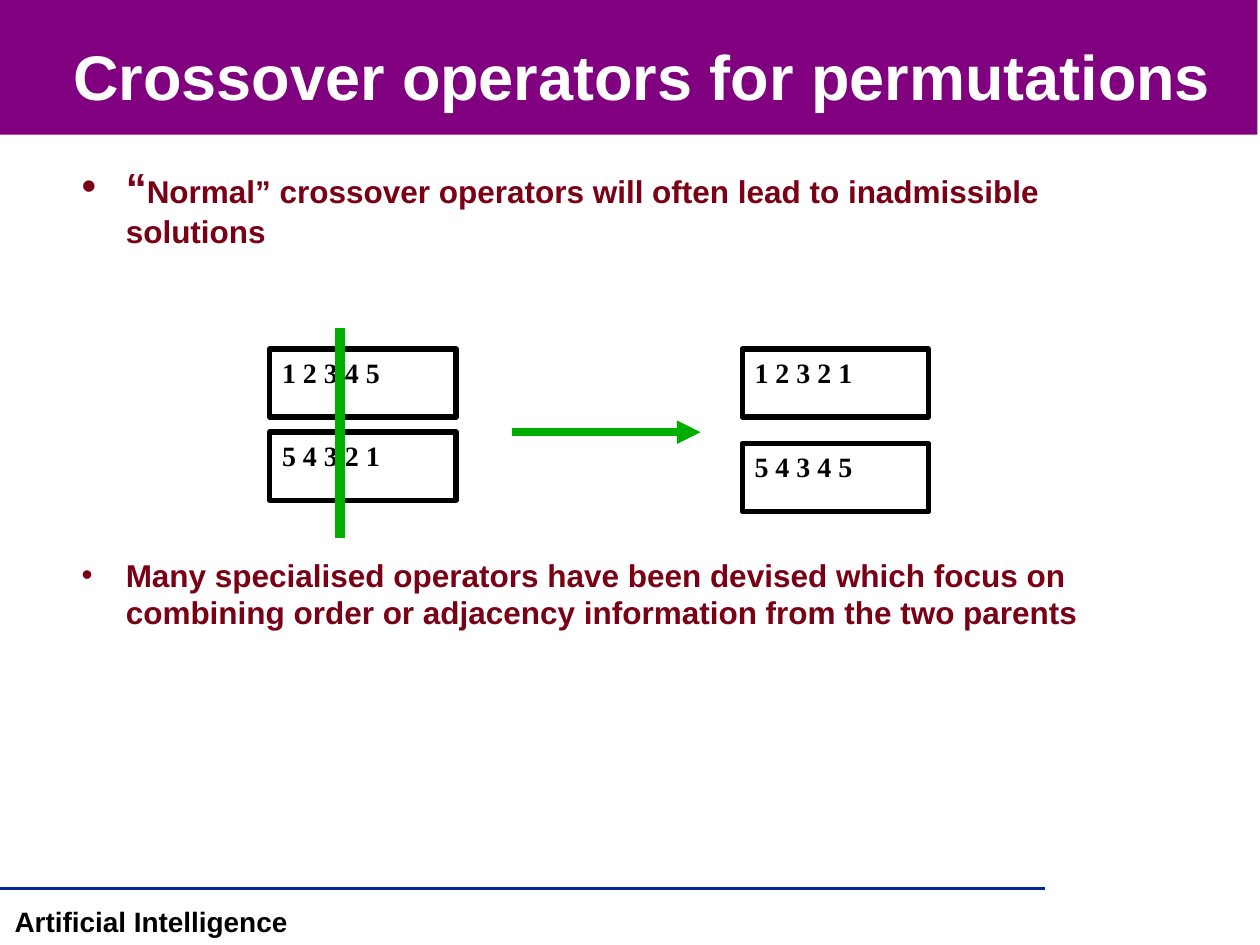
from dataclasses import dataclass

from lxml import etree
from pptx import Presentation
from pptx.dml.color import RGBColor
from pptx.enum.shapes import MSO_CONNECTOR, MSO_SHAPE
from pptx.enum.text import MSO_ANCHOR, PP_ALIGN
from pptx.oxml.ns import qn
from pptx.util import Inches, Pt

RECTANGLE = MSO_SHAPE.RECTANGLE
STRAIGHT = MSO_CONNECTOR.STRAIGHT
TOP, MIDDLE = MSO_ANCHOR.TOP, MSO_ANCHOR.MIDDLE
LEFT, CENTER = PP_ALIGN.LEFT, PP_ALIGN.CENTER

WIDTH, HEIGHT = Inches(10), Inches(7.5)
COLUMNS, ROWS = 100, 75
BLACK, WHITE, PURPLE = "000000", "FFFFFF", "800080"
MAROON, GREEN, BLUE = "790015", "00AE00", "00279F"
SANS, SERIF = "Arial", "Times New Roman"
PARENT_COLUMN, CHILD_COLUMN = 21.4, 58.9


@dataclass(frozen=True)
class Area:
    column: float
    row: float
    columns: float
    rows: float

    def lengths(self) -> tuple:
        return (across(self.column), down(self.row),
                across(self.columns), down(self.rows))


@dataclass(frozen=True)
class Chromosome:
    genes: str
    column: float
    row: float


@dataclass(frozen=True)
class Stroke:
    start: tuple
    end: tuple
    color: str
    weight: float
    arrow: bool = False


@dataclass(frozen=True)
class Bullet:
    runs: tuple
    space_before: float = 0


CHROMOSOMES = (
    Chromosome("1 2 3 4 5", PARENT_COLUMN, 27.7),
    Chromosome("5 4 3 2 1", PARENT_COLUMN, 34.3),
    Chromosome("1 2 3 2 1", CHILD_COLUMN, 27.7),
    Chromosome("5 4 3 4 5", CHILD_COLUMN, 35.2),
)
FOOTER_RULE = Stroke((0, 70.5), (82.9, 70.5), BLUE, 2)
CROSSOVER_STROKES = (
    Stroke((27, 26), (27, 42.7), GREEN, 6),
    Stroke((40.6, 34.3), (55.6, 34.3), GREEN, 4.5, arrow=True),
)
BULLETS = (
    Bullet((("“", 24), ("Normal” crossover operators will often lead to "
                        "inadmissible solutions", 18))),
    Bullet((("Many specialised operators have been devised which focus on "
             "combining order or adjacency information from the two parents", 18),),
           space_before=175),
)


def across(columns: float) -> int:
    return round(WIDTH * columns / COLUMNS)


def down(rows: float) -> int:
    return round(HEIGHT * rows / ROWS)


def rgb(color: str) -> RGBColor:
    return RGBColor.from_string(color)


def add_run(paragraph, text: str, size: float, color: str, font: str = SANS) -> None:
    run = paragraph.add_run()
    run.text = text
    run.font.name = font
    run.font.size = Pt(size)
    run.font.bold = True
    run.font.color.rgb = rgb(color)


def add_label(slide, area: Area, text: str, size: float, color: str,
              anchor=TOP, wrap: bool = True) -> None:
    frame = slide.shapes.add_textbox(*area.lengths()).text_frame
    frame.word_wrap = wrap
    frame.vertical_anchor = anchor
    paragraph = frame.paragraphs[0]
    paragraph.alignment = CENTER
    add_run(paragraph, text, size, color)


def add_banner(slide) -> None:
    shape = slide.shapes.add_shape(RECTANGLE, *Area(0, 0, 99.8, 10.7).lengths())
    shape.shadow.inherit = False
    shape.fill.solid()
    shape.fill.fore_color.rgb = rgb(PURPLE)
    shape.line.fill.background()


def add_chromosome(slide, chromosome: Chromosome) -> None:
    area = Area(chromosome.column, chromosome.row, 14.8, 5.4)
    shape = slide.shapes.add_shape(RECTANGLE, *area.lengths())
    shape.shadow.inherit = False
    shape.fill.background()
    shape.line.color.rgb = rgb(BLACK)
    shape.line.width = Pt(3)
    shape.text_frame.vertical_anchor = TOP
    paragraph = shape.text_frame.paragraphs[0]
    paragraph.alignment = LEFT
    add_run(paragraph, chromosome.genes, 16, BLACK, SERIF)


def add_stroke(slide, stroke: Stroke) -> None:
    (start_column, start_row), (end_column, end_row) = stroke.start, stroke.end
    connector = slide.shapes.add_connector(
        STRAIGHT, across(start_column), down(start_row),
        across(end_column), down(end_row))
    connector.line.color.rgb = rgb(stroke.color)
    connector.line.width = Pt(stroke.weight)
    properties = connector.element.spPr
    if stroke.arrow:
        etree.SubElement(properties.find(qn("a:ln")), qn("a:tailEnd"), type="triangle")
    etree.SubElement(properties, qn("a:effectLst"))


def set_bullet(paragraph, color: str) -> None:
    properties = paragraph._p.get_or_add_pPr()
    indent = across(3.5)
    properties.set("marL", str(indent))
    properties.set("indent", str(-indent))
    bullet_color = etree.SubElement(properties, qn("a:buClr"))
    etree.SubElement(bullet_color, qn("a:srgbClr"), val=color)
    etree.SubElement(properties, qn("a:buFont"), typeface=SANS)
    etree.SubElement(properties, qn("a:buChar"), char="•")


def add_bullets(slide, area: Area, bullets: tuple) -> None:
    frame = slide.shapes.add_textbox(*area.lengths()).text_frame
    frame.word_wrap = True
    for index, bullet in enumerate(bullets):
        paragraph = frame.add_paragraph() if index else frame.paragraphs[0]
        paragraph.space_before = Pt(bullet.space_before)
        set_bullet(paragraph, MAROON)
        for text, size in bullet.runs:
            add_run(paragraph, text, size, MAROON)


def main() -> None:
    presentation = Presentation()
    presentation.slide_width, presentation.slide_height = WIDTH, HEIGHT
    slide = presentation.slides.add_slide(presentation.slide_layouts[6])
    add_banner(slide)
    add_stroke(slide, FOOTER_RULE)
    add_label(slide, Area(0, 71.3, 24, 3.7), "Artificial Intelligence", 16, BLACK,
              wrap=False)
    add_bullets(slide, Area(5.5, 12.3, 87.5, 52.5), BULLETS)
    add_label(slide, Area(4.4, 2.2, 93.1, 7.5),
              "Crossover operators for permutations", 36, WHITE, MIDDLE)
    for chromosome in CHROMOSOMES:
        add_chromosome(slide, chromosome)
    for stroke in CROSSOVER_STROKES:
        add_stroke(slide, stroke)
    presentation.save("out.pptx")


if __name__ == "__main__":
    main()
